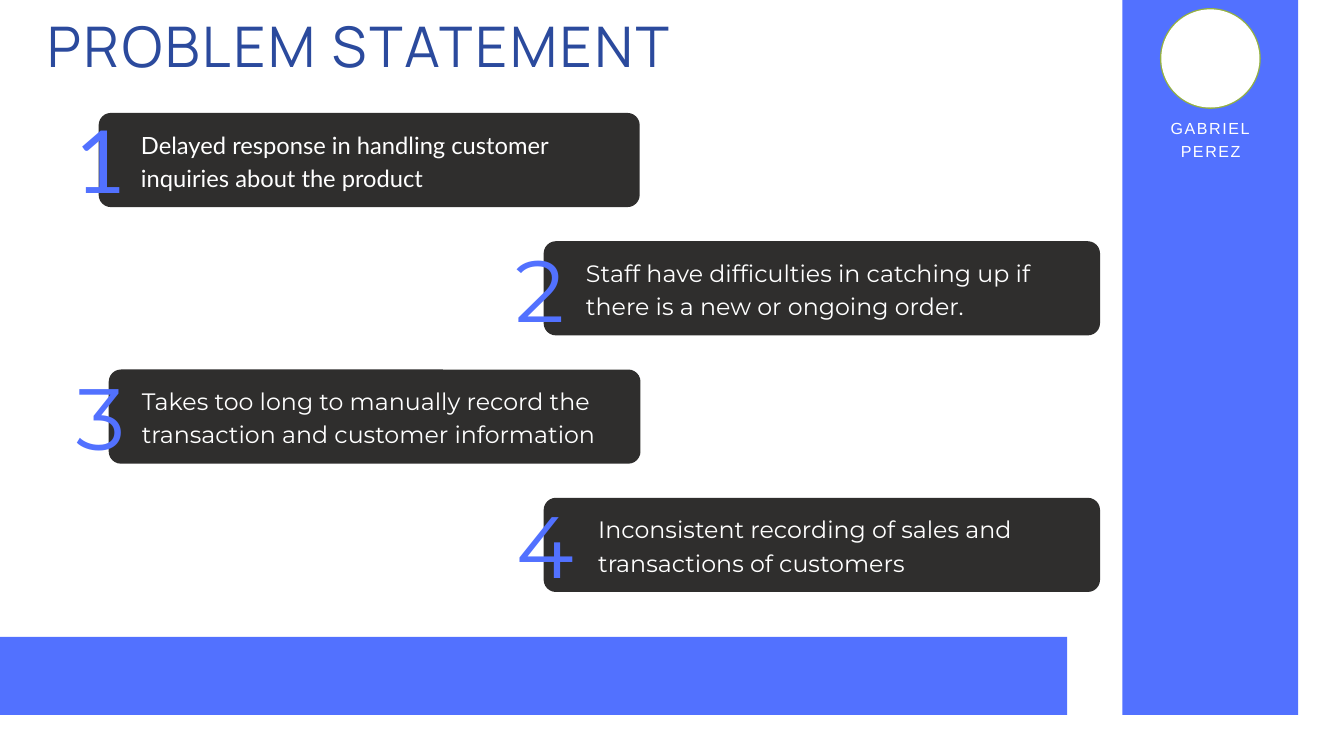
from pptx import Presentation
from pptx.dml.color import RGBColor
from pptx.enum.shapes import MSO_SHAPE as SHAPE
from pptx.enum.text import PP_ALIGN as ALIGN
from pptx.util import Cm, Pt

COLORS = {
    "blue": "5271FF",
    "navy": "2B4A9D",
    "dark": "2F2E2D",
    "green": "94B143",
    "white": "FFFFFF",
}


class Deck:
    def __init__(self, width, height):
        self.prs = Presentation()
        self.prs.slide_width, self.prs.slide_height = Cm(width), Cm(height)
        self.s = self.prs.slides.add_slide(self.prs.slide_layouts[6])

    def color(self, name):
        return RGBColor.from_string(COLORS[name])

    def shape(self, kind, x, y, w, h, fill):
        sp = self.s.shapes.add_shape(kind, Cm(x), Cm(y), Cm(w), Cm(h))
        sp.shadow.inherit = False
        sp.fill.solid()
        sp.fill.fore_color.rgb = self.color(fill)
        sp.line.fill.background()
        return sp

    def circle(self, cx, cy, d, fill):
        self.shape(SHAPE.OVAL, cx - d / 2, cy - d / 2, d, d, fill)

    def text(self, text, x, y, w, h, font, size, leading, color,
             align=ALIGN.LEFT, spacing=0):
        tf = self.s.shapes.add_textbox(Cm(x), Cm(y), Cm(w), Cm(h)).text_frame
        tf.margin_left = tf.margin_right = tf.margin_top = tf.margin_bottom = 0
        tf.word_wrap = True
        tf.text = text
        p = tf.paragraphs[0]
        p.alignment = align
        p.line_spacing = Pt(leading)
        r = p.runs[0]
        r.font.name = font
        r.font.size = Pt(size)
        r.font.color.rgb = self.color(color)
        if spacing:
            r.font._element.set("spc", str(spacing))

    def card(self, number, text, y, font, box, body, digit):
        sp = self.shape(SHAPE.ROUNDED_RECTANGLE, box[0], y, box[1], 3.56, "dark")
        sp.adjustments[0] = 0.13
        self.text(text, body[0], y + 0.48, body[1], 2.46, font, 25.4, 35.5, "white")
        self.text(str(number), digit[0], y - 0.89, digit[1], 4.45,
                  font, 93.2, 130.5, "blue")


def main():
    deck = Deck(50.8, 28.58)
    deck.shape(SHAPE.RECTANGLE, 42.42, 0, 6.65, 27.03, "blue")
    deck.text("PROBLEM STATEMENT", 0.53, 0.74, 26.04, 2.49,
              "Manrope", 60, 63, "navy", ALIGN.CENTER, 300)
    deck.shape(SHAPE.RECTANGLE, 0, 24.08, 40.34, 2.95, "blue")

    problems = [
        ("Delayed response in handling customer inquiries about the product",
         "Lato", (3.73, 20.45), (5.33, 17.81), (2.84, 2.49)),
        ("Staff have difficulties in catching up if there is a new or ongoing order.",
         "Montserrat", (20.55, 21.03), (22.15, 18.62), (19.48, 2.13)),
        ("Takes too long to manually record the transaction and customer information",
         "Montserrat", (4.11, 20.1), (5.36, 17.81), (2.9, 3.1)),
        ("Inconsistent recording of sales and transactions of customers",
         "Montserrat", (20.55, 21.03), (22.61, 16.94), (19.51, 2.13)),
    ]
    for i, (text, *style) in enumerate(problems):
        deck.card(i + 1, text, 4.27 + 4.85 * i, *style)

    for diameter, fill in ((3.81, "green"), (3.71, "white")):
        deck.circle(45.75, 2.21, diameter, fill)
    deck.text("GABRIEL PEREZ", 43.36, 4.37, 4.8, 1.78,
              "Arial", 17.2, 24, "white", ALIGN.CENTER, 170)
    deck.prs.save("out.pptx")


if __name__ == "__main__":
    main()
